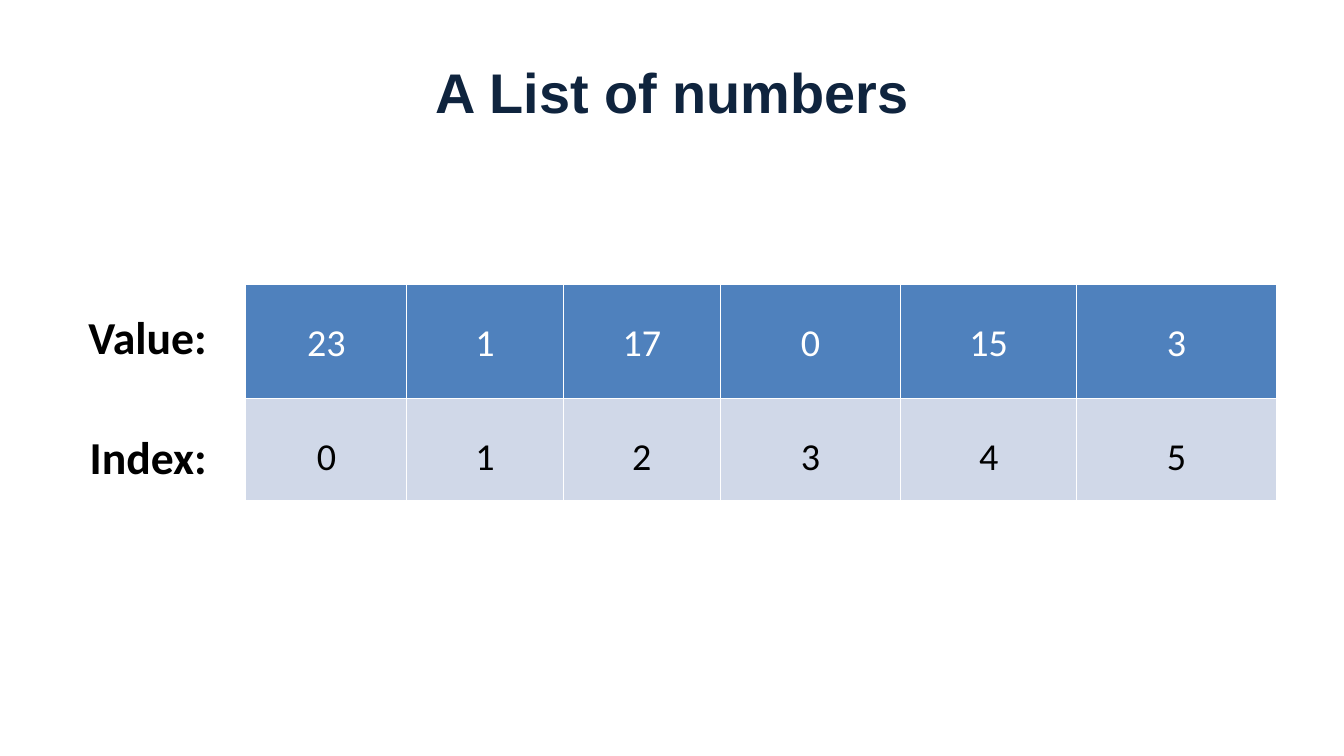
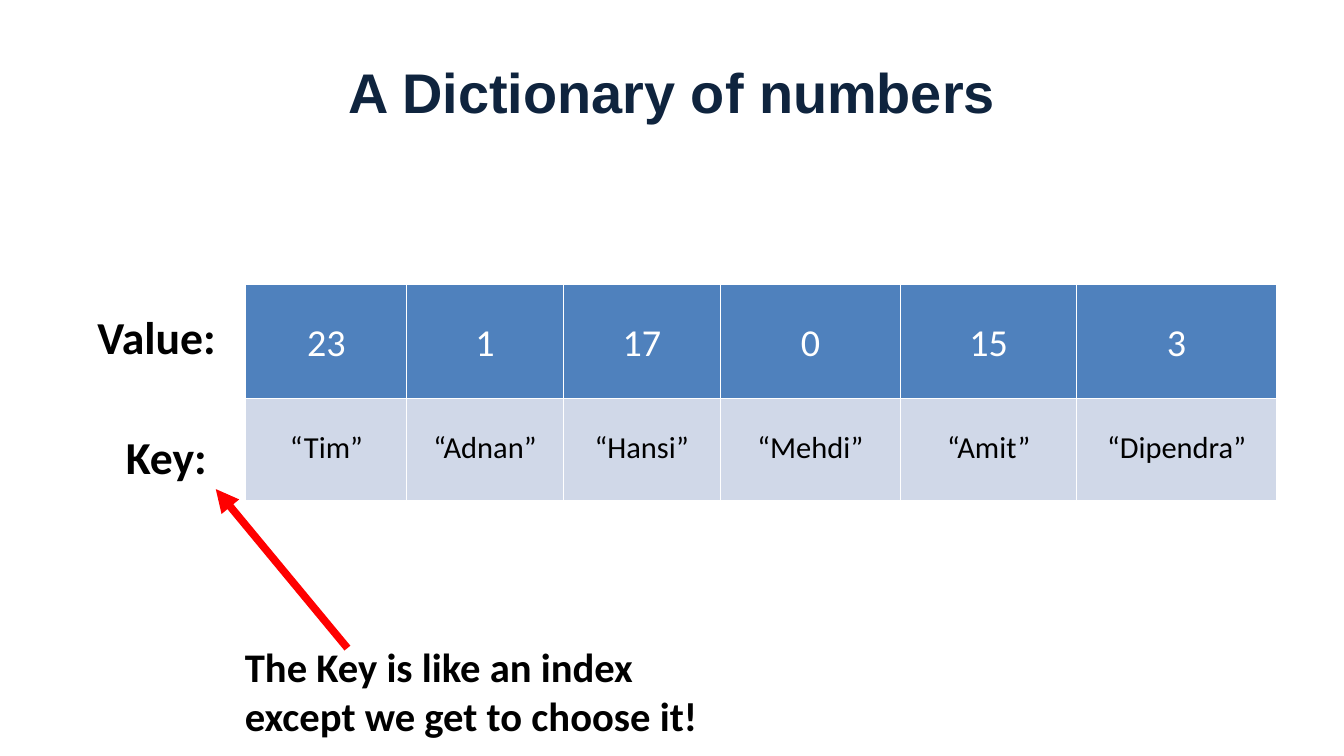
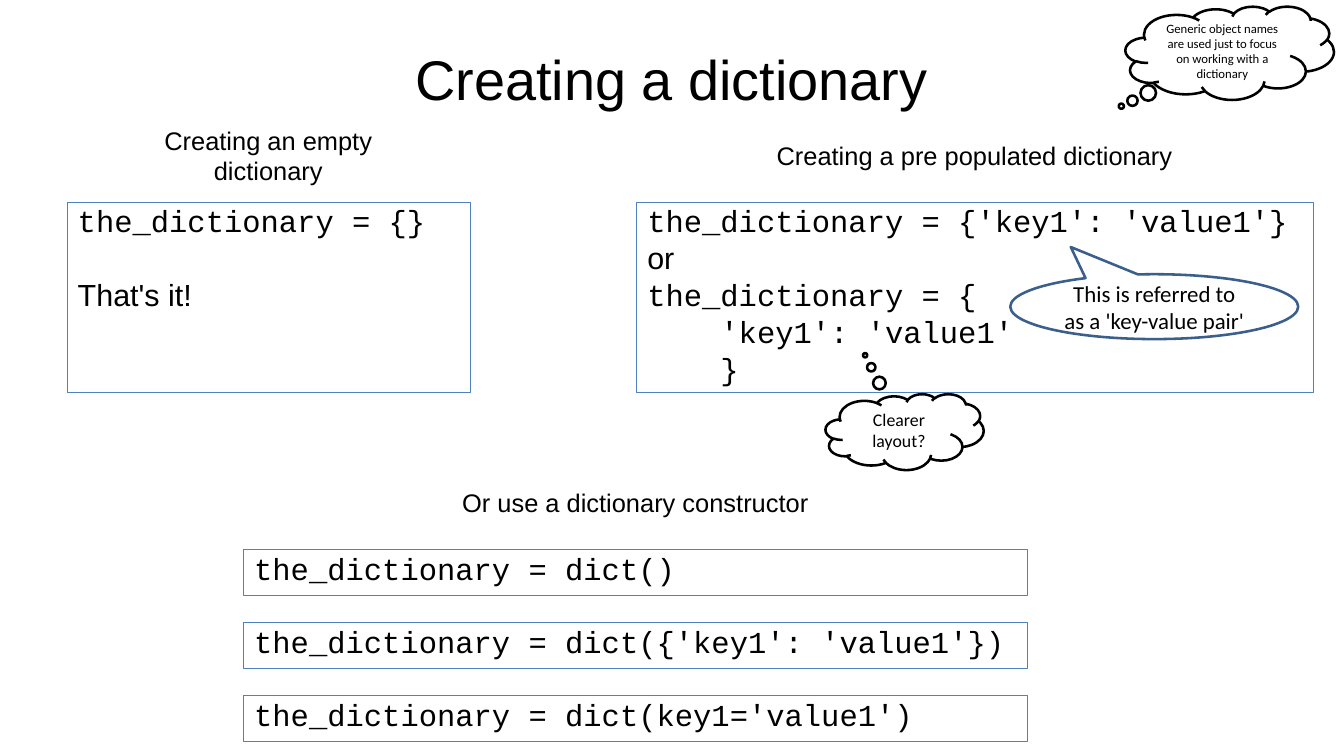
from dataclasses import dataclass
from typing import Optional, Sequence

from lxml import etree
from pptx import Presentation
from pptx.dml.color import RGBColor
from pptx.enum import shapes, text
from pptx.oxml.ns import qn
from pptx.util import Inches, Pt

# Shared style
NAVY = RGBColor(0x0F, 0x24, 0x3E)
BLUE = RGBColor(0x4F, 0x81, 0xBD)
DARK_BLUE = RGBColor(0x3A, 0x5F, 0x8C)
PALE_BLUE = RGBColor(0xD0, 0xD8, 0xE8)
RED = RGBColor(0xFF, 0x00, 0x00)
BLACK = RGBColor(0x00, 0x00, 0x00)
WHITE = RGBColor(0xFF, 0xFF, 0xFF)
HEADING, BODY, CODE = "Arial", "Calibri", "Courier New"
LEFT, CENTER, RIGHT = text.PP_ALIGN.LEFT, text.PP_ALIGN.CENTER, text.PP_ALIGN.RIGHT
TOP, MIDDLE = text.MSO_ANCHOR.TOP, text.MSO_ANCHOR.MIDDLE
SHAPE = shapes.MSO_SHAPE

COLUMNS = (1.76, 1.71, 1.72, 1.97, 1.93, 2.18)
ROWS = (1.25, 1.12)
VALUES = ("23", "1", "17", "0", "15", "3")
CODE_PITCH = 29
HEADING_RISE = 0.74


@dataclass(frozen=True)
class Box:
    x: float
    y: float
    w: float
    h: float

    def inches(self) -> tuple:
        return tuple(Inches(v) for v in (self.x, self.y, self.w, self.h))


@dataclass(frozen=True)
class Line:
    text: str
    font: str = CODE
    gap: float = 0


@dataclass(frozen=True)
class CodeBlock:
    box: Box
    lines: Sequence[Line]
    heading: str = ""
    heading_width: float = 0


@dataclass(frozen=True)
class Callout:
    kind: shapes.MSO_SHAPE
    box: Box
    text: str
    size: float
    tip: tuple
    color: RGBColor = BLACK


# Text
def add_paragraph(tf, content: str, *, first: bool = True, size: float = 24,
                  font: str = BODY, color: RGBColor = BLACK, bold: bool = False,
                  align=LEFT, spacing=None, before: float = 0, after: float = 0):
    p = tf.paragraphs[0] if first else tf.add_paragraph()
    p.alignment = align
    p.space_after = Pt(after)
    if not first:
        p.space_before = Pt(before)
    if spacing:
        p.line_spacing = spacing
    r = p.add_run()
    r.text = content
    r.font.size, r.font.name, r.font.bold = Pt(size), font, bold
    r.font.color.rgb = color
    return p


def set_frame(tf, anchor, inset: Optional[float] = None) -> None:
    tf.word_wrap = True
    tf.vertical_anchor = anchor
    if inset is not None:
        tf.margin_left = tf.margin_right = Inches(inset)
        tf.margin_top = tf.margin_bottom = Inches(inset)


def add_text(slide, box: Box, content: str, *, anchor=TOP,
             inset: Optional[float] = None, **style) -> None:
    tf = slide.shapes.add_textbox(*box.inches()).text_frame
    set_frame(tf, anchor, inset)
    add_paragraph(tf, content, **style)


def add_heading(slide, box: Box, content: str, **style) -> None:
    add_text(slide, box, content, anchor=MIDDLE, inset=0, font=HEADING,
             align=CENTER, **style)


def add_label(slide, box: Box, content: str) -> None:
    add_text(slide, box, content, size=36, bold=True, align=RIGHT)


# Shapes
def add_outline(slide, kind, box: Box, color: RGBColor, width: float):
    sp = slide.shapes.add_shape(kind, *box.inches())
    sp.shadow.inherit = False
    sp.fill.background()
    sp.line.color.rgb = color
    sp.line.width = Pt(width)
    return sp


def add_code(slide, block: CodeBlock) -> None:
    box = block.box
    sp = add_outline(slide, SHAPE.RECTANGLE, box, BLUE, 0.25)
    tf = sp.text_frame
    set_frame(tf, TOP, 0)
    tf.margin_left = Inches(0.12)
    for i, line in enumerate(block.lines):
        add_paragraph(tf, line.text, first=i == 0, font=line.font,
                      spacing=Pt(CODE_PITCH), before=line.gap)
    if block.heading:
        w = block.heading_width
        place = Box(box.x + (box.w - w) / 2, box.y - HEADING_RISE, w, 0.46)
        add_heading(slide, place, block.heading, size=20)


def add_callout(slide, c: Callout) -> None:
    sp = add_outline(slide, c.kind, c.box, c.color, 2)
    for i, value in enumerate(c.tip):
        sp.adjustments[i] = value
    set_frame(sp.text_frame, MIDDLE)
    add_paragraph(sp.text_frame, c.text, size=c.size, align=CENTER)


def add_arrow(slide, start: tuple, end: tuple, color: RGBColor, width: float) -> None:
    ends = [Inches(v) for v in start + end]
    cx = slide.shapes.add_connector(shapes.MSO_CONNECTOR.STRAIGHT, *ends)
    cx.line.color.rgb = color
    cx.line.width = Pt(width)
    etree.SubElement(cx.line._get_or_add_ln(), qn("a:tailEnd"), type="triangle")
    etree.SubElement(cx._element.spPr, qn("a:effectLst"))


# Table
def set_borders(cell, color: RGBColor, width: float) -> None:
    tc_pr = cell._tc.get_or_add_tcPr()
    for i, side in enumerate(("a:lnL", "a:lnR", "a:lnT", "a:lnB")):
        ln = etree.Element(qn(side), w=str(Pt(width)))
        fill = etree.SubElement(ln, qn("a:solidFill"))
        etree.SubElement(fill, qn("a:srgbClr"), val=str(color))
        tc_pr.insert(i, ln)


def add_pairs_table(slide, names: Sequence[str], name_size: float) -> None:
    box = Box(2.69, 3.11, sum(COLUMNS), sum(ROWS))
    table = slide.shapes.add_table(len(ROWS), len(COLUMNS), *box.inches()).table
    for col, width in zip(table.columns, COLUMNS):
        col.width = Inches(width)
    rows = ((VALUES, 30, WHITE, BLUE), (names, name_size, BLACK, PALE_BLUE))
    for i, (words, size, color, fill) in enumerate(rows):
        table.rows[i].height = Inches(ROWS[i])
        for j, word in enumerate(words):
            cell = table.cell(i, j)
            cell.fill.solid()
            cell.fill.fore_color.rgb = fill
            cell.margin_left = cell.margin_right = Inches(0.27)
            cell.margin_top = cell.margin_bottom = Inches(0.14)
            add_paragraph(cell.text_frame, word, size=size, color=color,
                          align=CENTER, spacing=1.5, after=8)
            set_borders(cell, WHITE, 1)


# Slides
def add_slide(prs):
    return prs.slides.add_slide(prs.slide_layouts[6])


def add_collection_slide(prs, title: str, value_box: Box, name_label: str,
                         names: Sequence[str], name_size: float):
    slide = add_slide(prs)
    add_heading(slide, Box(0.74, 0.67, 13.23, 0.65), title,
                size=44, color=NAVY, bold=True)
    add_pairs_table(slide, names, name_size)
    add_label(slide, value_box, "Value:")
    add_label(slide, Box(0.57, 4.64, 1.79, 0.71), name_label)
    return slide


def add_creation_slide(prs) -> None:
    slide = add_slide(prs)
    add_heading(slide, Box(0.73, 0.33, 13.23, 1.05), "Creating a dictionary", size=44)

    constructors = ("dict()", "dict({'key1': 'value1'})", "dict(key1='value1')")
    blocks = [
        CodeBlock(Box(0.73, 2.21, 4.41, 2.08),
                  (Line("the_dictionary = {}"),
                   Line("That's it!", HEADING, CODE_PITCH)),
                  "Creating an empty dictionary", 3.54),
        CodeBlock(Box(6.96, 2.21, 7.4, 2.08),
                  (Line("the_dictionary = {'key1': 'value1'}"),
                   Line("or", HEADING),
                   Line("the_dictionary = {"),
                   Line("    'key1': 'value1'"),
                   Line("    }")),
                  "Creating a pre populated dictionary", 4.45),
    ]
    for i, call in enumerate(constructors):
        heading = "" if i else "Or use a dictionary constructor"
        blocks.append(CodeBlock(Box(2.66, 6.01 + 0.8 * i, 8.58, 0.5),
                                (Line(f"the_dictionary = {call}"),), heading, 4.09))
    for block in blocks:
        add_code(slide, block)

    callouts = (
        Callout(SHAPE.CLOUD_CALLOUT, Box(12.31, 0.07, 2.28, 1.02),
                "Generic object names are used just to focus on working with a dictionary",
                10, (-0.52, 0.57)),
        Callout(SHAPE.OVAL_CALLOUT, Box(11.05, 3, 3.15, 0.71),
                "This is referred to as a 'key-value pair'",
                18, (-0.29, -0.92), DARK_BLUE),
        Callout(SHAPE.CLOUD_CALLOUT, Box(9.03, 4.31, 1.73, 0.83),
                "Clearer layout?", 14, (-0.25, -1.01)),
    )
    for callout in callouts:
        add_callout(slide, callout)


def main() -> None:
    prs = Presentation()
    prs.slide_width, prs.slide_height = Inches(14.7), Inches(8.27)

    add_collection_slide(prs, "A List of numbers", Box(0.18, 3.33, 2.18, 0.71),
                         "Index:", [str(i) for i in range(len(VALUES))], 30)

    people = ("Tim", "Adnan", "Hansi", "Mehdi", "Amit", "Dipendra")
    slide = add_collection_slide(prs, "A Dictionary of numbers",
                                 Box(0.1, 3.33, 2.36, 0.71), "Key:",
                                 [f"“{name}”" for name in people], 24)
    add_arrow(slide, (3.8, 7.09), (2.36, 5.35), RED, 6)
    add_text(slide, Box(2.58, 6.97, 5.55, 1.18),
             "The Key is like an index except we get to choose it!",
             size=32, bold=True)

    add_creation_slide(prs)
    prs.save("out.pptx")


if __name__ == "__main__":
    main()
